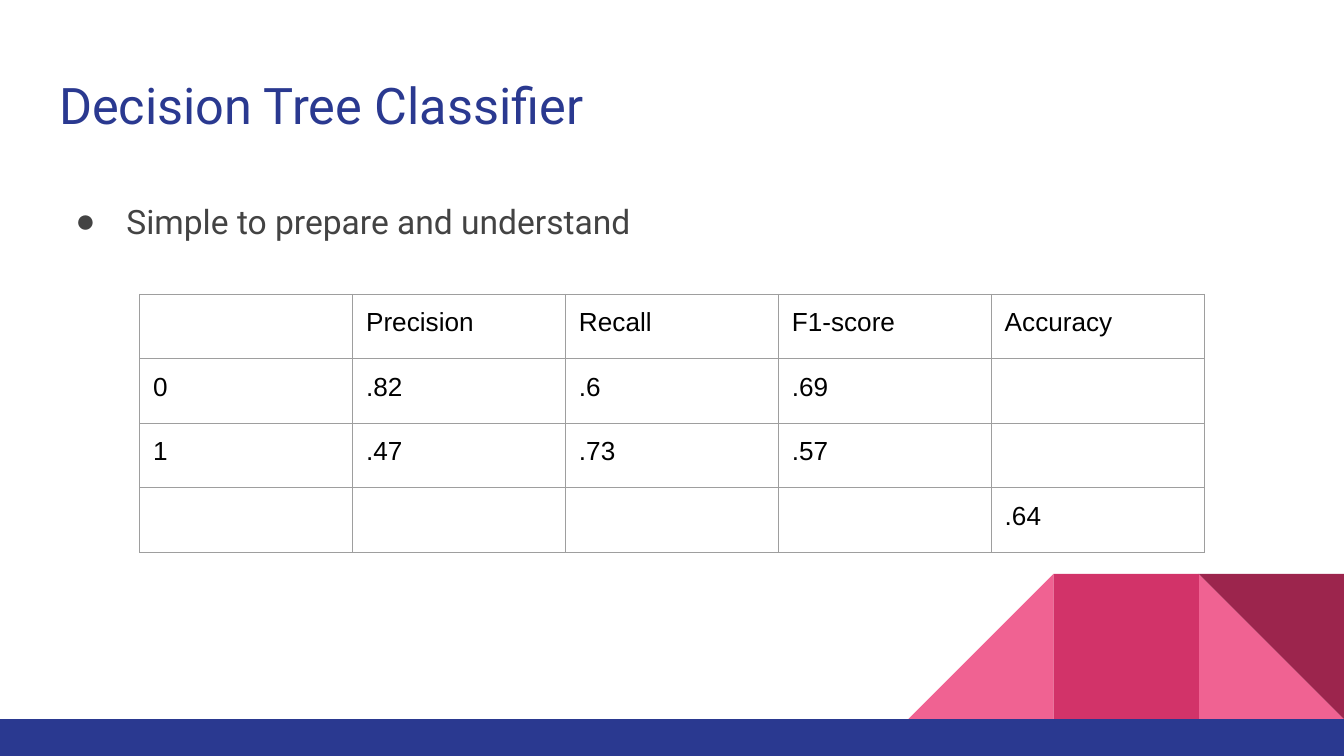
from lxml.etree import SubElement
from pptx import Presentation
from pptx.dml.color import RGBColor
from pptx.enum.shapes import MSO_SHAPE
from pptx.enum.text import MSO_ANCHOR, MSO_AUTO_SIZE, PP_ALIGN
from pptx.oxml import parse_xml
from pptx.oxml.ns import nsdecls, qn
from pptx.util import Inches, Pt

# Content
TITLE = "Decision Tree Classifier"
POINT = "Simple to prepare and understand"
SCORES = [
    ["", "Precision", "Recall", "F1-score", "Accuracy"],
    ["0", ".82", ".6", ".69", ""],
    ["1", ".47", ".73", ".57", ""],
    ["", "", "", "", ".64"],
]

# Colours
NAVY = RGBColor(0x2A, 0x39, 0x90)
PINK = RGBColor(0xF0, 0x62, 0x92)
ROSE = RGBColor(0xD2, 0x33, 0x69)
WINE = RGBColor(0x9C, 0x25, 0x4D)
GRAY = RGBColor(0x43, 0x43, 0x43)
BORDER = RGBColor(0x9E, 0x9E, 0x9E)
BLACK = RGBColor(0, 0, 0)

# Layout: a 16:9 slide
WIDTH = 10
HEIGHT = WIDTH * 9 / 16
BAR_TOP = 5.35
TILE = 1.08
TABLE_LEFT, TABLE_TOP = 1.04, 2.19
TABLE_WIDTH, TABLE_HEIGHT = 7.92, 1.92
INSET = Inches(0.1)

prs = Presentation()
prs.slide_width, prs.slide_height = Inches(WIDTH), Inches(HEIGHT)
slide = prs.slides.add_slide(prs.slide_layouts[1])


def add_block(kind, left, top, width, height, color):
    block = slide.shapes.add_shape(
        kind, Inches(left), Inches(top), Inches(width), Inches(height))
    block.shadow.inherit = False
    block.fill.solid()
    block.fill.fore_color.rgb = color
    block.line.fill.background()
    return block


def add_text(paragraph, text, size, font, color):
    run = paragraph.add_run()
    run.text = text
    run.font.size = Pt(size)
    run.font.name = font
    run.font.color.rgb = color


def fill_placeholder(holder, top, height, text, size, color):
    holder.left, holder.top = Inches(0.34), Inches(top)
    holder.width, holder.height = Inches(9.32), Inches(height)
    frame = holder.text_frame
    frame.margin_left = frame.margin_right = INSET
    frame.margin_top = frame.margin_bottom = INSET
    frame.vertical_anchor = MSO_ANCHOR.TOP
    frame.auto_size = MSO_AUTO_SIZE.NONE
    frame.word_wrap = True
    paragraph = frame.paragraphs[0]
    paragraph.alignment = PP_ALIGN.LEFT
    paragraph.space_before = Pt(0)
    add_text(paragraph, text, size, "Roboto", color)
    return paragraph


def add_borders(cell):
    properties = cell._tc.get_or_add_tcPr()
    for index, side in enumerate(("lnL", "lnR", "lnT", "lnB")):
        properties.insert(index, parse_xml(
            f'<a:{side} {nsdecls("a")} w="{Pt(0.75)}"><a:solidFill>'
            f'<a:srgbClr val="{BORDER}"/></a:solidFill></a:{side}>'))


# Corner tiles, from the right edge inwards, and bottom bar
tile_top = BAR_TOP - TILE
right, middle, left = (WIDTH - TILE * n for n in (1, 2, 3))
add_block(MSO_SHAPE.RIGHT_TRIANGLE, right, tile_top, TILE, TILE, PINK)
slope = add_block(MSO_SHAPE.RIGHT_TRIANGLE, left, tile_top, TILE, TILE, PINK)
slope._element.spPr.find(qn("a:xfrm")).set("flipH", "1")
add_block(MSO_SHAPE.RECTANGLE, middle, tile_top, TILE, TILE, ROSE)
add_block(MSO_SHAPE.RIGHT_TRIANGLE, right, tile_top, TILE, TILE, WINE).rotation = 180
add_block(MSO_SHAPE.RECTANGLE, 0, BAR_TOP, WIDTH, HEIGHT - BAR_TOP, NAVY)

# Title and bullet
fill_placeholder(slide.shapes.title, 0.45, 0.66, TITLE, 27, NAVY)
bullet = fill_placeholder(slide.placeholders[1], 1.35, 3.65, POINT, 18, GRAY)
bullet.line_spacing = 1.15
bullet_format = bullet._p.get_or_add_pPr()
bullet_format.set("marL", str(Inches(0.5)))
bullet_format.set("indent", str(Inches(-0.38)))
bullet_color = SubElement(bullet_format, qn("a:buClr"))
SubElement(bullet_color, qn("a:srgbClr"), val=str(GRAY))
SubElement(bullet_format, qn("a:buFont"), typeface="Arial")
SubElement(bullet_format, qn("a:buChar"), char="●")

# Score table
table = slide.shapes.add_table(
    len(SCORES), len(SCORES[0]), Inches(TABLE_LEFT), Inches(TABLE_TOP),
    Inches(TABLE_WIDTH), Inches(TABLE_HEIGHT)).table
table.first_row = table.horz_banding = False
for r, scores in enumerate(SCORES):
    for c, score in enumerate(scores):
        cell = table.cell(r, c)
        cell.margin_left = cell.margin_right = INSET
        cell.margin_top = cell.margin_bottom = INSET
        cell.fill.background()
        add_borders(cell)
        paragraph = cell.text_frame.paragraphs[0]
        if score:
            add_text(paragraph, score, 14, "Arial", BLACK)
        else:
            paragraph.font.size = Pt(14)

prs.save("out.pptx")
